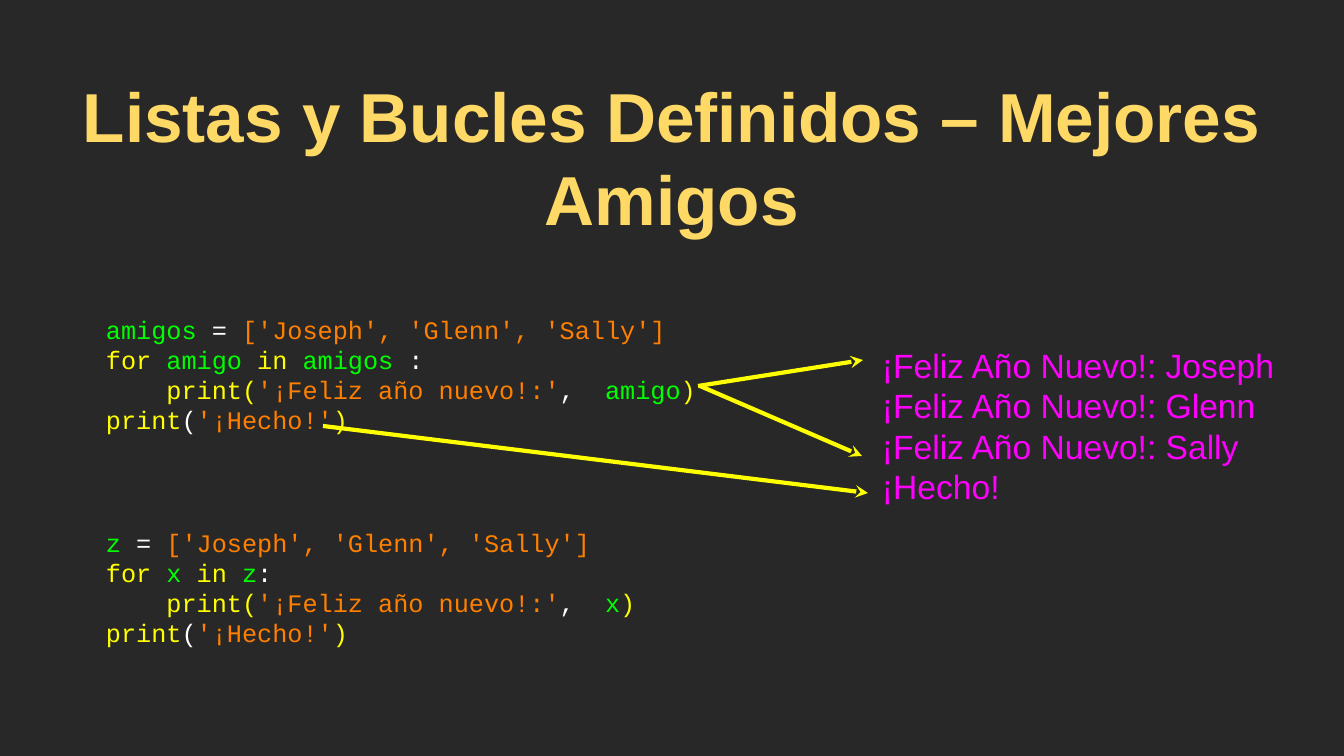
from lxml import etree
from pptx import Presentation
from pptx import util as u
from pptx.dml import color
from pptx.enum import shapes, text
from pptx.oxml import ns

SCALE = 914400 / 75.6
GREEN, YELLOW, ORANGE, WHITE = "00FF00", "FFFF00", "FF7F00", "FFFFFF"
MAGENTA, GOLD, DARK = "FF00FF", "FFD966", "282828"


def px(n):
    """Turn px into EMU."""
    return u.Emu(round(n * SCALE))


def rgb(value):
    """Turn a hex string into a colour."""
    return color.RGBColor.from_string(value)


def add_text(s, box, lines, size, font, bold=False, align=text.PP_ALIGN.LEFT, inset=0):
    """Add a middle-anchored text box whose lines are lists of (text, colour) runs."""
    tf = s.shapes.add_textbox(*map(px, box)).text_frame
    tf.word_wrap = True
    tf.vertical_anchor = text.MSO_ANCHOR.MIDDLE
    tf.margin_left = tf.margin_right = tf.margin_top = tf.margin_bottom = px(inset)
    for i, line in enumerate(lines):
        p = tf.paragraphs[0] if i == 0 else tf.add_paragraph()
        p.alignment = align
        p.line_spacing = u.Pt(size * 1.2)
        for content, fill in line:
            r = p.add_run()
            r.text = content
            r.font.size = u.Pt(size)
            r.font.name = font
            r.font.bold = bold
            r.font.color.rgb = rgb(fill)


def add_title(s, box):
    """Add the slide title."""
    line = [("Listas y Bucles Definidos – Mejores Amigos", GOLD)]
    add_text(s, box, [line], 66, "Arial", True, text.PP_ALIGN.CENTER, 3)


def add_code(s, box, names, item, colon):
    """Add the loop listing for the given list name, item name and colon."""
    lines = [
        [(names, GREEN), (" = ", WHITE), ("['Joseph', 'Glenn', 'Sally']", ORANGE)],
        [("for ", YELLOW), (f"{item} ", GREEN), ("in ", YELLOW), (names, GREEN), (colon, WHITE)],
        [("    print(", YELLOW), ("'¡Feliz año nuevo!:'", ORANGE), (",  ", WHITE),
         (item, GREEN), (")", YELLOW)],
        [("print", YELLOW), ("(", WHITE), ("'¡Hecho!'", ORANGE), (")", YELLOW)],
    ]
    add_text(s, box, lines, 24, "Courier New")


def add_output(s, box):
    """Add the printed output."""
    lines = [f"¡Feliz Año Nuevo!: {name}" for name in ("Joseph", "Glenn", "Sally")]
    lines.append("¡Hecho!")
    add_text(s, box, [[(line, MAGENTA)] for line in lines], 32, "Arial")


def add_arrow(s, start, end):
    """Add a yellow line with a stealth arrowhead at its end."""
    sp = s.shapes.add_connector(shapes.MSO_CONNECTOR.STRAIGHT, *map(px, start + end))
    sp.line.color.rgb = rgb(YELLOW)
    sp.line.width = u.Pt(4)
    etree.SubElement(sp.line._get_or_add_ln(), ns.qn("a:tailEnd"), type="stealth")
    etree.SubElement(sp._element.spPr, ns.qn("a:effectLst"))


def main():
    """Build and save the slide."""
    prs = Presentation()
    prs.slide_width, prs.slide_height = px(1344), px(756)
    s = prs.slides.add_slide(prs.slide_layouts[6])
    s.background.fill.solid()
    s.background.fill.fore_color.rgb = rgb(DARK)

    add_title(s, (0, 106, 1344, 101))
    add_code(s, (106, 283, 602, 183), "amigos", "amigo", " :")
    add_output(s, (882, 335, 409, 181))
    for start, end in (
        ((698, 386), (863, 360)),
        ((700, 386), (862, 456)),
        ((323, 426), (868, 493)),
    ):
        add_arrow(s, start, end)
    add_code(s, (106, 496, 641, 183), "z", "x", ":")
    prs.save("out.pptx")


if __name__ == "__main__":
    main()
